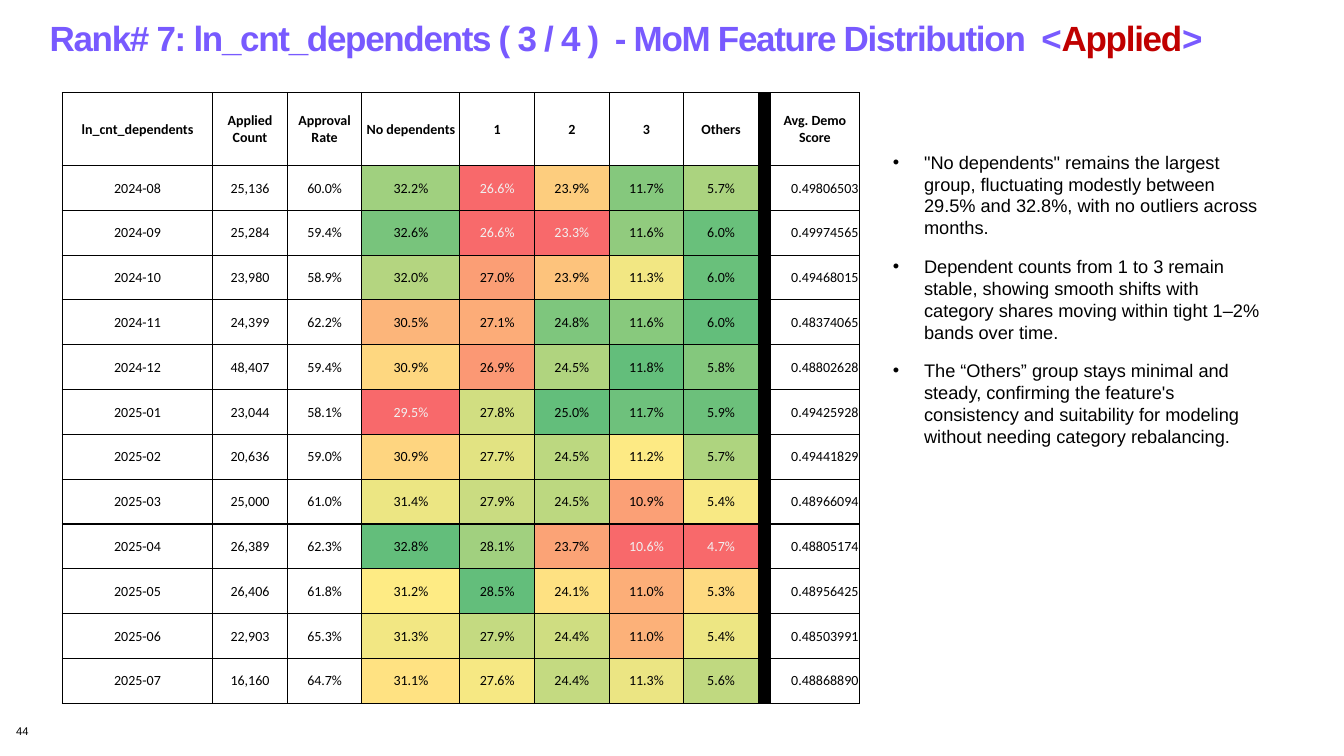
from lxml import etree
from pptx import Presentation
from pptx.dml.color import RGBColor
from pptx.enum.text import MSO_ANCHOR, PP_ALIGN
from pptx.oxml.ns import qn
from pptx.util import Cm, Pt

MIDDLE = MSO_ANCHOR.MIDDLE
CENTER, RIGHT = PP_ALIGN.CENTER, PP_ALIGN.RIGHT

COLORS = {"violet": "785AFF", "red": "C00000", "black": "000000",
          "white": "FFFFFF", "pale": "F1F1F1"}

# Content
TITLE = [("Rank# 7: ln_cnt_dependents ( 3 / 4 )  - MoM Feature Distribution  <", "violet"),
         ("Applied", "red"), (">", "violet")]
PAGE = "44"
NOTES = [
    "\"No dependents\" remains the largest group, fluctuating modestly between 29.5% and 32.8%, "
    "with no outliers across months.",
    "Dependent counts from 1 to 3 remain stable, showing smooth shifts with category shares "
    "moving within tight 1–2% bands over time.",
    "The “Others” group stays minimal and steady, confirming the feature's consistency and "
    "suitability for modeling without needing category rebalancing.",
]
HEADS = ["ln_cnt_dependents", "Applied Count", "Approval Rate", "No dependents",
         "1", "2", "3", "Others", "", "Avg. Demo Score"]
# Month, count, approval rate, five shares, score
MONTHS = [
    "2024-08 25,136 60.0% 32.2% 26.6% 23.9% 11.7% 5.7% 0.49806503",
    "2024-09 25,284 59.4% 32.6% 26.6% 23.3% 11.6% 6.0% 0.49974565",
    "2024-10 23,980 58.9% 32.0% 27.0% 23.9% 11.3% 6.0% 0.49468015",
    "2024-11 24,399 62.2% 30.5% 27.1% 24.8% 11.6% 6.0% 0.48374065",
    "2024-12 48,407 59.4% 30.9% 26.9% 24.5% 11.8% 5.8% 0.48802628",
    "2025-01 23,044 58.1% 29.5% 27.8% 25.0% 11.7% 5.9% 0.49425928",
    "2025-02 20,636 59.0% 30.9% 27.7% 24.5% 11.2% 5.7% 0.49441829",
    "2025-03 25,000 61.0% 31.4% 27.9% 24.5% 10.9% 5.4% 0.48966094",
    "2025-04 26,389 62.3% 32.8% 28.1% 23.7% 10.6% 4.7% 0.48805174",
    "2025-05 26,406 61.8% 31.2% 28.5% 24.1% 11.0% 5.3% 0.48956425",
    "2025-06 22,903 65.3% 31.3% 27.9% 24.4% 11.0% 5.4% 0.48503991",
    "2025-07 16,160 64.7% 31.1% 27.6% 24.4% 11.3% 5.6% 0.48868890",
]
# Heat colours of the five shares, month by month
HEAT = [
    "A0D07F F8696B FDCD7E 85C87D ABD37F",
    "78C47C F86A6B F8696B 91CB7E 69C07B",
    "B4D580 FB9E75 FDC37C F2E783 69C07B",
    "FCB57A FCAC78 7EC67D 88C97D 63BE7B",
    "FED780 FB9874 B0D47F 63BE7B 84C87D",
    "F8696B D1DE81 63BE7B 6EC17C 6CC07B",
    "FED580 E2E382 BCD880 FDEA84 AED47F",
    "ECE683 CADC81 BCD880 FBA076 F8E984",
    "63BE7B A1D07F FBA376 F8696B F8696B",
    "FEEB84 63BE7B FEE182 FCAE78 FEDA81",
    "F2E783 C4DA81 CFDD81 FCB179 EDE683",
    "FFE282 F6E883 C4DA81 EBE583 C0D980",
]
WIDTHS = [3.79, 1.88, 1.88, 2.47, 1.88, 1.88, 1.88, 1.88, 0.31, 2.23]
HEAD_H, ROW_H = 1.83, 1.13
FIRST, BAR, SCORE = 3, 8, 9  # first heat column, black bar, score column


def set_font(font, name, size, color, bold=False):
    font.name, font.size, font.bold = name, Pt(size), bold
    font.color.rgb = RGBColor.from_string(color)


def add_box(x, y, w, h, inset=True):
    frame = slide.shapes.add_textbox(Cm(x), Cm(y), Cm(w), Cm(h)).text_frame
    frame.word_wrap = True
    if not inset:
        frame.margin_left = frame.margin_right = 0
        frame.margin_top = frame.margin_bottom = 0
    return frame


def add_edges(cell):
    props = cell._tc.get_or_add_tcPr()
    for spot, side in enumerate(("a:lnL", "a:lnR", "a:lnT", "a:lnB")):
        line = etree.Element(qn(side), w=str(Pt(1)))
        fill = etree.SubElement(line, qn("a:solidFill"))
        etree.SubElement(fill, qn("a:srgbClr"), val=COLORS["black"])
        props.insert(spot, line)


def fill_cell(cell, text, align, fill, bold):
    cell.margin_left = cell.margin_right = cell.margin_top = Cm(0.02)
    cell.margin_bottom = 0
    cell.vertical_anchor = MIDDLE
    cell.fill.solid()
    cell.fill.fore_color.rgb = RGBColor.from_string(fill)
    add_edges(cell)
    para = cell.text_frame.paragraphs[0]
    if text:
        para.text = text
    para.alignment = align
    # The deep red cells carry pale text
    ink = "pale" if fill.startswith("F86") else "black"
    set_font(para.font, "Calibri", 10, COLORS[ink], bold)


deck = Presentation()
deck.slide_width, deck.slide_height = Cm(33.87), Cm(19.05)
slide = deck.slides.add_slide(deck.slide_layouts[6])

# Title
para = add_box(1.25, 0.3, 32.6, 1.3, inset=False).paragraphs[0]
para.line_spacing = 1.1
for text, color in TITLE:
    run = para.add_run()
    run.text = text
    set_font(run.font, "Arial", 25, COLORS[color], True)
    run._r.get_or_add_rPr().set("spc", "-90")

# Page number
para = add_box(0.41, 18.26, 7.42, 0.64, inset=False).paragraphs[0]
para.text = PAGE
set_font(para.font, "Arial", 8, COLORS["black"])

# Notes
frame = add_box(22.25, 3.68, 9.96, 6.68)
for i, note in enumerate(NOTES):
    para = frame.add_paragraph() if i else frame.paragraphs[0]
    para.text = note
    para.space_after = Pt(12)
    props = para._p.get_or_add_pPr()
    props.set("marL", str(Cm(0.79)))
    props.set("indent", str(-Cm(0.79)))
    etree.SubElement(props, qn("a:buFont"), typeface="Arial")
    etree.SubElement(props, qn("a:buChar"), char="•")
    set_font(para.font, "Arial", 13, COLORS["black"])

# Monthly table
rows = [HEADS]
for month in MONTHS:
    *parts, score = month.split()
    rows.append(parts + ["", score])
high = HEAD_H + ROW_H * len(MONTHS)
table = slide.shapes.add_table(len(rows), len(HEADS), Cm(1.57), Cm(2.34),
                               Cm(sum(WIDTHS)), Cm(high)).table
table.first_row = table.horz_banding = False
for col, width in zip(table.columns, WIDTHS):
    col.width = Cm(width)
for r, row in enumerate(rows):
    table.rows[r].height = Cm(ROW_H if r else HEAD_H)
    for c, text in enumerate(row):
        fill = COLORS["black" if c == BAR else "white"]
        if r and FIRST <= c < BAR:
            fill = HEAT[r - 1].split()[c - FIRST]
        align = RIGHT if r and c == SCORE else CENTER
        fill_cell(table.cell(r, c), text, align, fill, r == 0)

deck.save("out.pptx")
